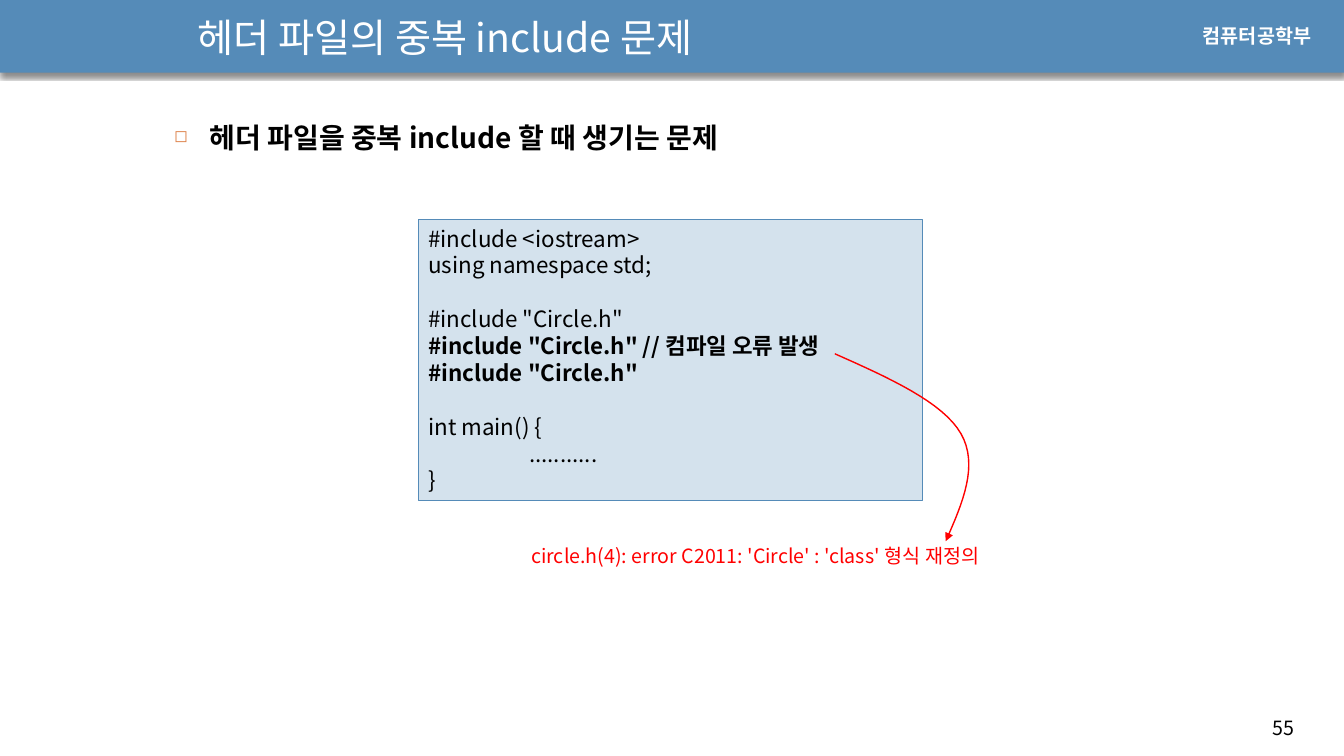
from dataclasses import dataclass

from lxml.etree import SubElement
from pptx import Presentation
from pptx.dml.color import RGBColor
from pptx.enum.shapes import MSO_SHAPE
from pptx.enum.text import MSO_ANCHOR, PP_ALIGN
from pptx.oxml.ns import qn
from pptx.util import Inches, Pt


@dataclass(frozen=True)
class Theme:
    sans: str = "Noto Sans CJK KR"
    label: str = "Arial"
    blue: str = "558BB8"
    pale: str = "D4E2ED"
    orange: str = "DD8047"
    red: str = "FF0000"
    white: str = "FFFFFF"
    black: str = "000000"
    title: int = 28
    body: int = 20
    code: int = 16
    small: int = 14


THEME = Theme()
CODE = [
    "#include <iostream>",
    "using namespace std;",
    "",
    '#include "Circle.h"',
    '#include "Circle.h" // 컴파일 오류 발생',
    '#include "Circle.h"',
    "",
    "int main() {",
    "\t...........",
    "}",
]
BOLD_LINES = (4, 5)
CURVES = [
    [(8.28, 3.51), (8.82, 3.75), (9.35, 3.99), (9.53, 4.3)],
    [(9.53, 4.3), (9.71, 4.61), (9.55, 4.99), (9.38, 5.37)],
]


def rgb(color):
    return RGBColor.from_string(color)


def style(para, size, color, bold=False, face=THEME.sans):
    para.font.size = Pt(size)
    for run in para.runs:
        font = run.font
        font.size, font.bold, font.name = Pt(size), bold, face
        font.color.rgb = rgb(color)
        SubElement(run._r.get_or_add_rPr(), qn("a:ea"), typeface=face)


def add_text(slide, box, text, size, color, bold=False, face=THEME.sans):
    area = slide.shapes.add_textbox(*map(Inches, box))
    frame = area.text_frame
    frame.word_wrap = True
    frame.text = text
    style(frame.paragraphs[0], size, color, bold, face)
    return frame


def add_rect(slide, box, fill):
    rect = slide.shapes.add_shape(MSO_SHAPE.RECTANGLE, *map(Inches, box))
    rect.shadow.inherit = False
    rect.fill.solid()
    rect.fill.fore_color.rgb = rgb(fill)
    rect.line.fill.background()
    return rect


def add_shadow(shape):
    effects = shape._element.spPr.find(qn("a:effectLst"))
    outer = SubElement(effects, qn("a:outerShdw"), blurRad=str(Pt(3)),
                       dist=str(Pt(2.4)), dir="5400000", rotWithShape="0")
    tint = SubElement(outer, qn("a:srgbClr"), val=THEME.black)
    SubElement(tint, qn("a:alpha"), val="45000")


def add_bullet(para):
    props = para._p.get_or_add_pPr()
    props.set("marL", str(Inches(0.35)))
    props.set("indent", str(-Inches(0.35)))
    color = SubElement(props, qn("a:buClr"))
    SubElement(color, qn("a:srgbClr"), val=THEME.orange)
    SubElement(props, qn("a:buSzPct"), val="60000")
    SubElement(props, qn("a:buChar"), char="◻")


def add_tab(para):
    stops = SubElement(para._p.get_or_add_pPr(), qn("a:tabLst"))
    SubElement(stops, qn("a:tab"), pos=str(Inches(1)), algn="l")


def add_topic(slide, text):
    frame = add_text(slide, (1.63, 1.15, 11.1, 5.51), "", THEME.body, THEME.black)
    para = frame.paragraphs[0]
    para.text = text
    props = para._p.get_or_add_pPr()
    for child in list(props):
        props.remove(child)
    add_bullet(para)
    para.space_after = Pt(6)
    style(para, THEME.body, THEME.black, bold=True)


def add_code(slide, box):
    rect = add_rect(slide, box, THEME.pale)
    rect.line.color.rgb = rgb(THEME.blue)
    rect.line.width = Pt(0.75)
    frame = rect.text_frame
    frame.vertical_anchor = MSO_ANCHOR.TOP
    frame.text = "\n".join(CODE)
    for row, para in enumerate(frame.paragraphs):
        para.alignment = PP_ALIGN.LEFT
        if CODE[row].startswith("\t"):
            add_tab(para)
        style(para, THEME.code, THEME.black, row in BOLD_LINES)


def bezier(points, t):
    """Return the point at t on a cubic curve, as lengths."""
    weights = ((1 - t) ** 3, 3 * t * (1 - t) ** 2, 3 * t * t * (1 - t), t ** 3)
    return tuple(Inches(sum(w * p[axis] for w, p in zip(weights, points)))
                 for axis in (0, 1))


def add_curve(slide, curves, steps=16):
    points = [bezier(curve, i / steps)
              for curve in curves for i in range(1, steps + 1)]
    pen = slide.shapes.build_freeform(*bezier(curves[0], 0))
    pen.add_line_segments(points, close=False)
    arrow = pen.convert_to_shape()
    arrow.shadow.inherit = False
    arrow.fill.background()
    arrow.line.color.rgb = rgb(THEME.red)
    arrow.line.width = Pt(1)
    SubElement(arrow.line._get_or_add_ln(), qn("a:tailEnd"), type="triangle")


def main():
    deck = Presentation()
    deck.slide_width, deck.slide_height = Inches(13.33), Inches(7.5)
    slide = deck.slides.add_slide(deck.slide_layouts[6])

    add_shadow(add_rect(slide, (0, -0.01, 13.33, 0.73), THEME.blue))
    add_text(slide, (12.52, 7.05, 0.71, 0.34), "55", THEME.small, THEME.black)
    add_text(slide, (11.83, 0.19, 1.37, 0.34), "컴퓨터공학부", THEME.small,
             THEME.white, bold=True, face=THEME.label)
    title = add_text(slide, (1.86, 0.05, 7.4, 0.63),
                     "헤더 파일의 중복 include 문제", THEME.title, THEME.white)
    title.vertical_anchor = MSO_ANCHOR.MIDDLE
    add_topic(slide, "헤더 파일을 중복 include 할 때 생기는 문제")
    add_code(slide, (4.15, 2.18, 5, 2.79))
    add_text(slide, (5.17, 5.35, 5.43, 0.34),
             "circle.h(4): error C2011: 'Circle' : 'class' 형식 재정의",
             THEME.small, THEME.red)
    add_curve(slide, CURVES)
    deck.save("out.pptx")


if __name__ == "__main__":
    main()
